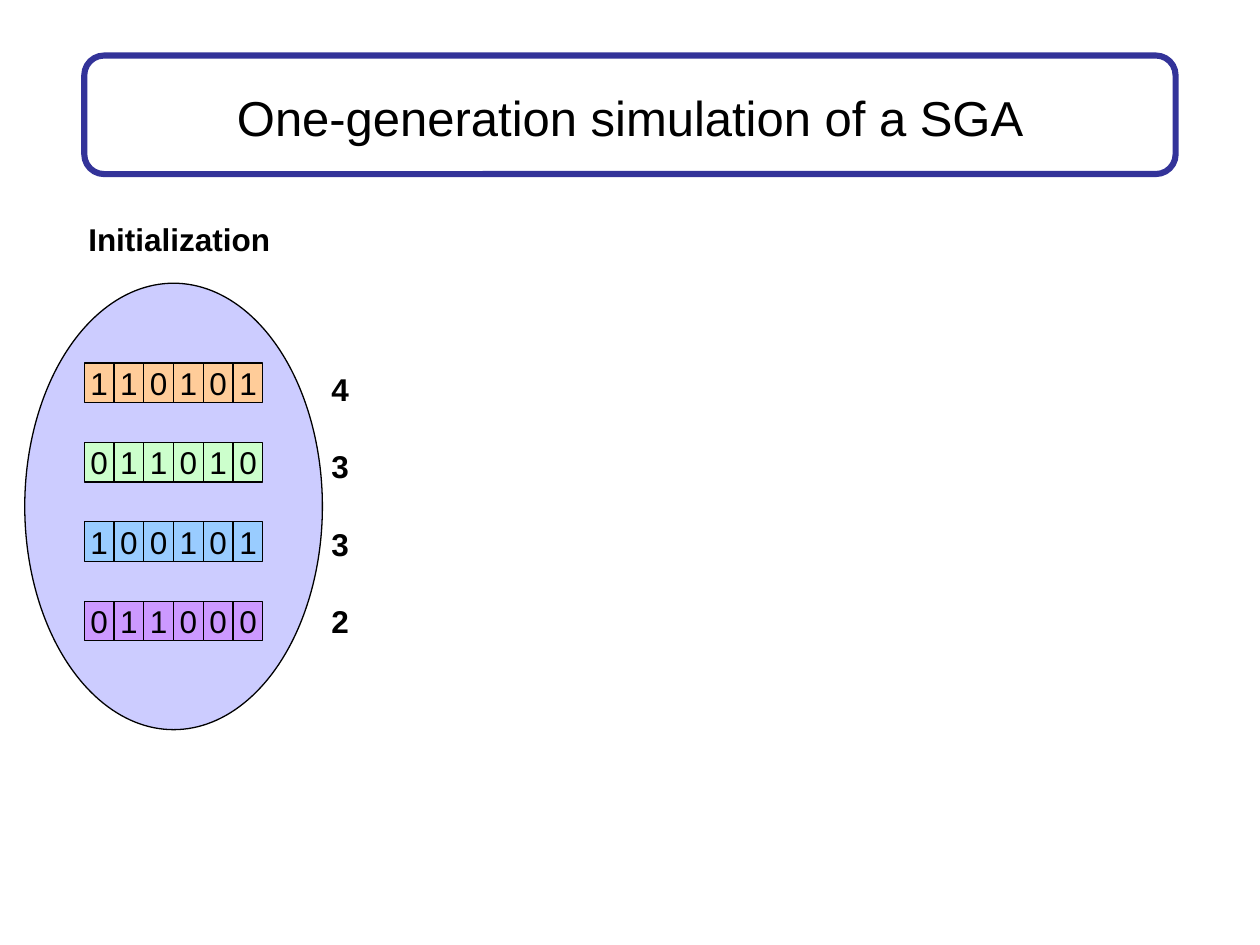
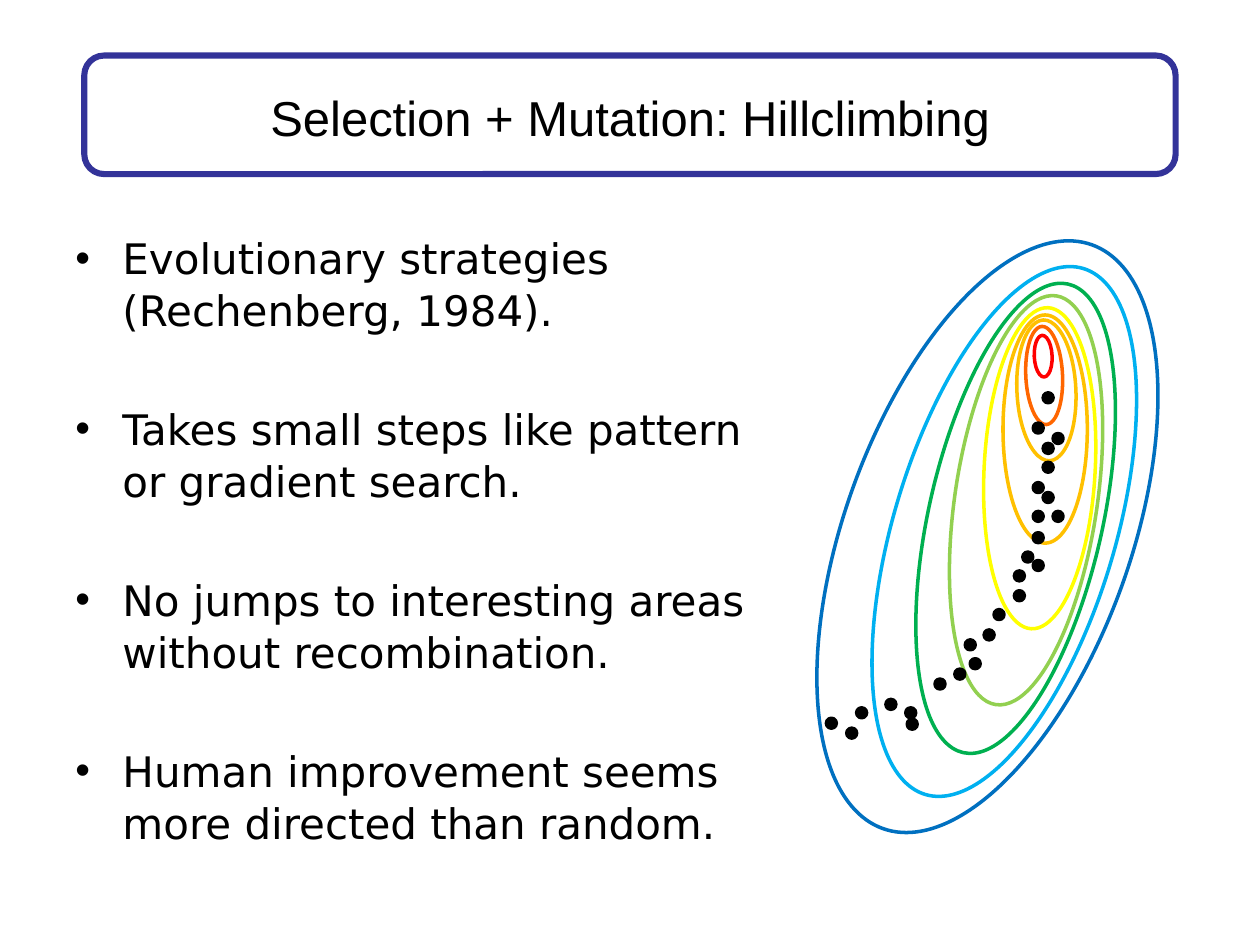
from lxml.etree import SubElement
from pptx import Presentation
from pptx.dml.color import RGBColor
from pptx.enum.shapes import MSO_SHAPE
from pptx.enum.text import MSO_ANCHOR, PP_ALIGN
from pptx.oxml.ns import qn
from pptx.util import Cm, Pt

BLACK = RGBColor(0x00, 0x00, 0x00)
WHITE = RGBColor(0xFF, 0xFF, 0xFF)
FRAME_BLUE = RGBColor(0x33, 0x33, 0x99)
POPULATION_BLUE = RGBColor(0x00, 0x00, 0xFF)
PEACH = RGBColor(0xFF, 0xCC, 0x99)
MINT = RGBColor(0xCC, 0xFF, 0xCC)
SKY = RGBColor(0x99, 0xCC, 0xFF)
LILAC = RGBColor(0xCC, 0x99, 0xFF)
DEEP_BLUE = RGBColor(0x00, 0x70, 0xC0)
LIGHT_BLUE = RGBColor(0x00, 0xB0, 0xF0)
GREEN = RGBColor(0x00, 0xB0, 0x50)
LIME = RGBColor(0x92, 0xD0, 0x50)
YELLOW = RGBColor(0xFF, 0xFF, 0x00)
AMBER = RGBColor(0xFF, 0xC0, 0x00)
ORANGE = RGBColor(0xFF, 0x66, 0x00)
RED = RGBColor(0xFF, 0x00, 0x00)

TITLE_FONT = {"name": "Arial", "size": Pt(28)}
LABEL_FONT = {"name": "Arial", "size": Pt(18), "bold": True}
GENE_FONT = {"name": "Arial", "size": Pt(18)}
BODY_FONT = {"name": "DejaVu Sans", "size": Pt(24)}
CENTRED = {"alignment": PP_ALIGN.CENTER}
MIDDLE = {"vertical_anchor": MSO_ANCHOR.MIDDLE}
NO_MARGINS = {"margin_left": 0, "margin_right": 0,
              "margin_top": 0, "margin_bottom": 0}

GENE_WIDTH, GENE_HEIGHT = 0.6, 0.8
GENOME_LEFT, GENOME_TOP, GENOME_STEP = 1.7, 7.32, 1.6
DOT_SIZE = 0.2

GENOMES = [("110101", PEACH), ("011010", MINT),
           ("100101", SKY), ("011000", LILAC)]

STRATEGY_POINTS = [
    "Evolutionary strategies (Rechenberg, 1984).",
    "Takes small steps like pattern or gradient search.",
    "No jumps to interesting areas without recombination.",
    "Human improvement seems more directed than random.",
]

# Box in centimetres, rotation in degrees, line colour; outermost first.
CONTOURS = [
    ((17.02, 4.57, 5.77, 12.5), 19.7, DEEP_BLUE),
    ((18.01, 5.18, 4.47, 11.07), 16.7, LIGHT_BLUE),
    ((18.72, 5.61, 3.51, 9.68), 12.6, GREEN),
    ((19.25, 5.92, 2.87, 8.33), 8.4, LIME),
    ((19.84, 6.2, 2.24, 6.48), 3, YELLOW),
    ((20.22, 6.35, 1.7, 4.6), 0, AMBER),
    ((20.5, 6.45, 1.19, 2.84), 357.4, AMBER),
    ((20.68, 6.58, 0.74, 1.98), 357.4, ORANGE),
    ((20.85, 6.76, 0.36, 0.84), 357.4, RED),
]

# Left and top of each search step, from the foot of the hill upwards.
SEARCH_STEPS = [
    (16.66, 14.48), (17.07, 14.68), (17.27, 14.27), (18.26, 14.27),
    (17.86, 14.1), (18.29, 14.5), (18.85, 13.69), (19.25, 13.49),
    (19.56, 13.28), (19.46, 12.9), (19.84, 12.7), (20.04, 12.29),
    (20.45, 11.91), (20.45, 11.51), (20.83, 11.3), (20.62, 11.13),
    (20.83, 10.74), (20.83, 10.31), (21.23, 10.31), (21.03, 9.93),
    (20.83, 9.73), (21.03, 9.32), (21.03, 8.94), (21.23, 8.74),
    (20.83, 8.53), (21.03, 7.92),
]


def apply_format(target, values):
    """Set each named attribute of the target."""
    for name, value in values.items():
        setattr(target, name, value)


class SlideBuilder:
    """Holds the shared style and draws on the current slide."""

    def __init__(self, presentation):
        """Keep the presentation; no slide is open yet."""
        self.presentation = presentation
        self.slide = None

    def start_slide(self, title):
        """Add a blank slide with the framed title."""
        layout = self.presentation.slide_layouts[6]
        self.slide = self.presentation.slides.add_slide(layout)
        self.shape(MSO_SHAPE.ROUNDED_RECTANGLE, (1.7, 1.12, 22, 2.39),
                   line=FRAME_BLUE, width=3.5)
        self.text((1.27, 0.76, 22.86, 3.18), [title], TITLE_FONT,
                  CENTRED, MIDDLE)

    def shape(self, kind, box, fill=None, line=BLACK, width=0.75,
              rotation=0, parent=None):
        """Add a preset shape to the slide or to a group."""
        shapes = (parent or self.slide).shapes
        shape = shapes.add_shape(kind, *map(Cm, box))
        shape.shadow.inherit = False
        shape.rotation = rotation
        if fill is None:
            shape.fill.background()
        else:
            shape.fill.solid()
            shape.fill.fore_color.rgb = fill
        shape.line.color.rgb = line
        shape.line.width = Pt(width)
        return shape

    def fill_text(self, shape, lines, font, paragraph_format, frame_format):
        """Fill a shape with one paragraph for each line."""
        frame = shape.text_frame
        apply_format(frame, frame_format)
        frame.text = "\n".join(lines)
        for paragraph in frame.paragraphs:
            apply_format(paragraph, paragraph_format)
            apply_format(paragraph.font, font)
            paragraph.font.color.rgb = BLACK

    def text(self, box, lines, font, paragraph_format, frame_format=None):
        """Add a text box that wraps unless told otherwise."""
        shape = self.slide.shapes.add_textbox(*map(Cm, box))
        self.fill_text(shape, lines, font, paragraph_format,
                       {"word_wrap": True, **(frame_format or {})})
        return shape

    def bullets(self, box, lines):
        """Add a bulleted list with hanging indents."""
        shape = self.text(box, lines, BODY_FONT,
                          {"space_after": Pt(37.8), "line_spacing": 1.04})
        for paragraph in shape.text_frame.paragraphs:
            properties = paragraph._p.get_or_add_pPr()
            properties.set("marL", str(Cm(0.95)))
            properties.set("indent", str(-Cm(0.95)))
            bullet_font = SubElement(properties, qn("a:buFont"))
            bullet_font.set("typeface", "Arial")
            SubElement(properties, qn("a:buChar")).set("char", "•")
            # The schema wants the default run properties after the bullet.
            properties.append(properties.find(qn("a:defRPr")))

    def population(self, box):
        """Add the translucent ellipse around the genomes."""
        shape = self.shape(MSO_SHAPE.OVAL, box, POPULATION_BLUE)
        color = shape._element.spPr.find(qn("a:solidFill"))[0]
        SubElement(color, qn("a:alpha")).set("val", "20000")

    def genome(self, top, genes, fill):
        """Add a grouped row of gene cells."""
        group = self.slide.shapes.add_group_shape()
        for column, gene in enumerate(genes):
            left = GENOME_LEFT + column * GENE_WIDTH
            cell = self.shape(MSO_SHAPE.RECTANGLE,
                              (left, top, GENE_WIDTH, GENE_HEIGHT),
                              fill, parent=group)
            self.fill_text(cell, [gene], GENE_FONT, CENTRED,
                           {"word_wrap": False, **MIDDLE, **NO_MARGINS})


def build_simulation_slide(builder):
    """Draw the initial population with its fitness values."""
    builder.start_slide("One-generation simulation of a SGA")
    builder.population((0.5, 5.71, 6, 9))
    for row, (genes, fill) in enumerate(GENOMES):
        builder.genome(GENOME_TOP + row * GENOME_STEP, genes, fill)
    builder.text((1.52, 4.32, 4.19, 1.02), ["Initialization"], LABEL_FONT,
                 CENTRED, {"word_wrap": False})
    fitness = [str(genes.count("1")) for genes, _ in GENOMES]
    builder.text((6.43, 7.34, 0.86, 5.59), fitness, LABEL_FONT,
                 {"space_after": Pt(22.5)}, {"word_wrap": False})


def build_hillclimbing_slide(builder):
    """Draw the strategy points beside the contour map."""
    builder.start_slide("Selection + Mutation: Hillclimbing")
    builder.bullets((1.27, 4.52, 14.61, 12.5), STRATEGY_POINTS)
    for box, rotation, color in CONTOURS:
        builder.shape(MSO_SHAPE.OVAL, box, WHITE, color, 2, rotation)
    for left, top in SEARCH_STEPS:
        builder.shape(MSO_SHAPE.OVAL, (left, top, DOT_SIZE, DOT_SIZE),
                      BLACK, width=2)


def main():
    """Build both slides and save the file."""
    presentation = Presentation()
    presentation.slide_width = Cm(25.4)
    presentation.slide_height = Cm(19.05)
    builder = SlideBuilder(presentation)
    build_simulation_slide(builder)
    build_hillclimbing_slide(builder)
    presentation.save("out.pptx")


main()
